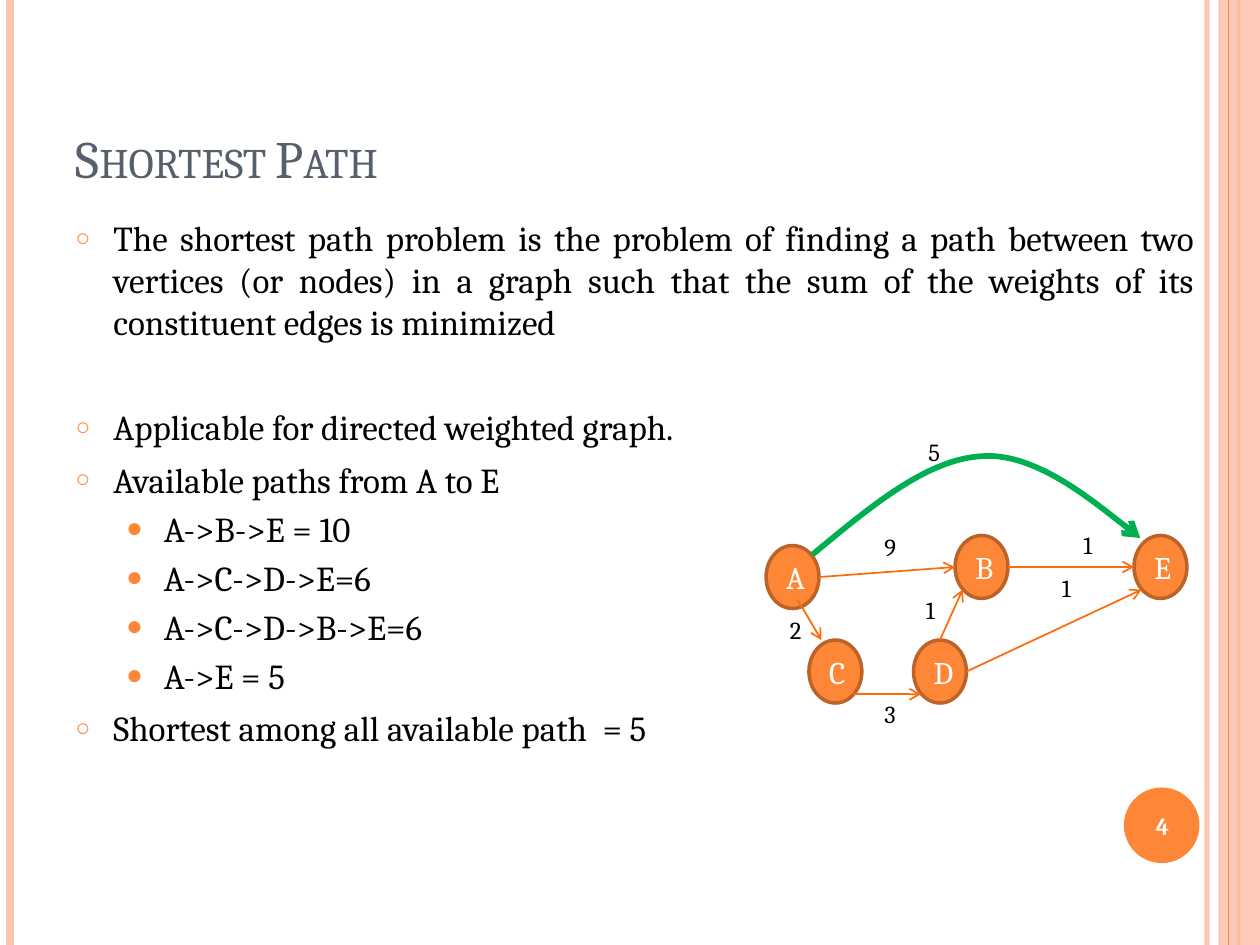
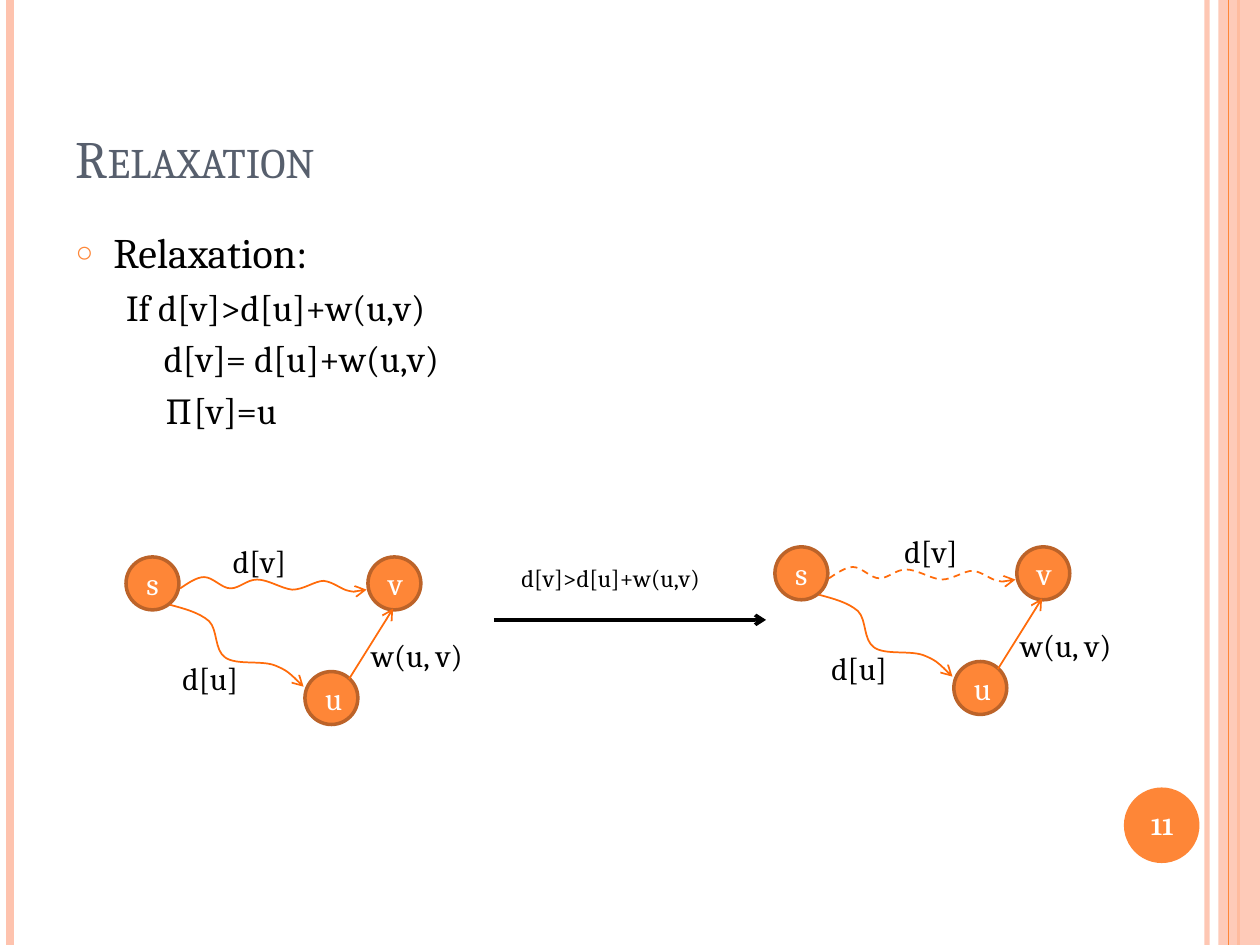
from dataclasses import dataclass

from lxml.etree import SubElement
from pptx import Presentation
from pptx.dml.color import RGBColor
from pptx.enum.dml import MSO_LINE
from pptx.enum.shapes import MSO_CONNECTOR, MSO_SHAPE
from pptx.enum.text import MSO_ANCHOR, MSO_AUTO_SIZE, PP_ALIGN
from pptx.oxml.ns import qn
from pptx.util import Inches, Pt


@dataclass(frozen=True)
class Theme:
    font: str = "Cambria"
    title: str = "575F6D"
    text: str = "000000"
    light: str = "FFFFFF"
    accent: str = "FE8637"
    pale: str = "FEC3AE"
    outline: str = "BC6329"
    edge: str = "FF6B0A"
    best: str = "00B050"
    title_size: int = 30
    heading_size: int = 24
    formula_size: int = 21
    body_size: int = 20
    node_size: int = 18
    small_size: int = 14


THEME = Theme()

RULES = [
    (9.58, THEME.pale, 3, 93),
    (0.08, THEME.pale, 4.5, 100),
    (9.83, THEME.accent, 1.5, 100),
    (9.75, THEME.accent, 0.75, 100),
]
BAND = (9.67, 0, 0.33, 7.5)
BADGE = (8.92, 6.25, 0.6, 0.6)

STYLES = {
    "point": dict(level=0, left=0.3, hang=0.3, before=6, bullet="○", scale=70),
    "path": dict(level=1, left=0.7, hang=0.3, before=4, bullet="●", scale=80),
    "formula": dict(level=1, left=0.4, hang=0, before=4.2, bullet=None),
    "step": dict(level=1, left=0.7, hang=0, before=4.2, bullet=None),
}

SHORTEST_PATH = {
    "title": "Shortest Path",
    "number": "4",
    "body": (0.5, 1.67, 9.08, 5.33),
    "lines": [
        ("The shortest path problem is the problem of finding a path between two "
         "vertices (or nodes) in a graph such that the sum of the weights of its "
         "constituent edges is minimized",
         "point", THEME.body_size, {"align": PP_ALIGN.JUSTIFY}),
        ("Applicable for directed weighted graph.", "point", THEME.body_size, {"before": 36}),
        ("Available paths from A to E", "point", THEME.body_size, {}),
        ("A->B->E = 10", "path", THEME.body_size, {}),
        ("A->C->D->E=6", "path", THEME.body_size, {}),
        ("A->C->D->B->E=6", "path", THEME.body_size, {}),
        ("A->E = 5", "path", THEME.body_size, {}),
        ("Shortest among all available path  = 5", "point", THEME.body_size, {}),
    ],
}
GRAPH_NODES = {"A": (6.08, 4.33), "B": (7.58, 4.25), "C": (6.42, 5.08),
               "D": (7.25, 5.08), "E": (9, 4.25)}
GRAPH_NODE_SIZE = (0.42, 0.5)
GRAPH_EDGES = [
    ((8, 4.5), (9, 4.5)),
    ((6.5, 4.58), (7.58, 4.5)),
    ((6.33, 4.76), (6.52, 5.08)),
    ((6.77, 5.51), (7.31, 5.51)),
    ((7.67, 5.33), (9.06, 4.68)),
    ((7.46, 5.08), (7.64, 4.68)),
]
BEST_EDGE = [(6.45, 4.4), (6.91, 4.02), (7.36, 3.64), (7.8, 3.62),
             (8.23, 3.59), (9.05, 4.27), (9.05, 4.27)]
WEIGHTS = [("9", 6.92, 4.17), ("5", 7.27, 3.42), ("2", 6.17, 4.83), ("3", 6.92, 5.5),
           ("1", 8.33, 4.5), ("1", 7.25, 4.67), ("1", 8.5, 4.16)]

RELAXATION = {
    "title": "Relaxation",
    "number": "11",
    "body": (0.5, 1.75, 8.17, 5.33),
    "lines": [
        ("Relaxation:", "point", THEME.heading_size, {}),
        ("If d[v]>d[u]+w(u,v)", "formula", THEME.formula_size, {}),
        ("d[v]= d[u]+w(u,v)", "step", THEME.formula_size, {}),
        ("∏[v]=u", "step", THEME.formula_size, {}),
    ],
}
TRIANGLE_NODES = {"s": (1, 4.42), "u": (2.42, 5.33), "v": (2.92, 4.42)}
TRIANGLE_NODE_SIZE = (0.42, 0.42)
WAVE_TO_V = [
    (1.43, 4.67), (1.49, 4.63), (1.56, 4.58), (1.62, 4.58), (1.69, 4.58), (1.76, 4.67),
    (1.83, 4.67), (1.9, 4.67), (1.96, 4.6), (2.04, 4.6), (2.13, 4.6), (2.23, 4.67),
    (2.32, 4.68), (2.41, 4.68), (2.5, 4.61), (2.57, 4.61), (2.65, 4.62), (2.71, 4.68),
    (2.77, 4.69), (2.82, 4.7), (2.87, 4.69), (2.91, 4.68),
]
WAVE_TO_U = [
    (1.35, 4.8), (1.46, 4.83), (1.58, 4.86), (1.66, 4.93), (1.73, 5), (1.7, 5.16),
    (1.79, 5.22), (1.88, 5.28), (2.07, 5.24), (2.18, 5.28), (2.28, 5.32), (2.34, 5.38),
    (2.41, 5.45),
]
EDGE_U_V = ((2.77, 5.39), (3.12, 4.83))
DISTANCES = [("d[u]", 1.35, 5.18, 0.67), ("w(u, v)", 2.85, 5, 1)]
TRIANGLES = [
    {"shift": (0, 0), "label_x": 1.75, "dash": False},
    {"shift": (5.15, -0.08), "label_x": 7.08, "dash": True},
]


def color(value):
    return RGBColor.from_string(value)


def inches(values):
    return [Inches(value) for value in values]


def moved(point, shift):
    return point[0] + shift[0], point[1] + shift[1]


def set_alpha(shape, percent):
    tone = next(shape.element.spPr.iter(qn("a:srgbClr")))
    SubElement(tone, qn("a:alpha"), val=str(percent * 1000))


def style_text(para, size, tone=THEME.text, bold=False):
    for span in para.runs:
        span.font.name = THEME.font
        span.font.size = Pt(size)
        span.font.color.rgb = color(tone)
        span.font.bold = bold


def style_line(shape, tone, width, arrow=False, dash=False):
    shape.line.color.rgb = color(tone)
    shape.line.width = Pt(width)
    if dash:
        shape.line.dash_style = MSO_LINE.DASH
    if arrow:
        outline = shape.element.spPr.find(qn("a:ln"))
        SubElement(outline, qn("a:tailEnd"), type="arrow")


def add_line(canvas, start, end, tone=THEME.edge, width=1, arrow=True):
    line = canvas.add_connector(MSO_CONNECTOR.STRAIGHT, *inches(start + end))
    style_line(line, tone, width, arrow)
    SubElement(line.element.spPr, qn("a:effectLst"))
    return line


def add_curve(canvas, points, tone=THEME.edge, width=1, dash=False):
    corners = [inches(point) for point in points]
    builder = canvas.build_freeform(*corners[0])
    builder.add_line_segments(corners[1:], close=False)
    curve = builder.convert_to_shape()
    curve.shadow.inherit = False
    curve.fill.background()
    style_line(curve, tone, width, True, dash)
    segments = list(curve.element.iter(qn("a:lnTo")))
    route = segments[0].getparent()
    for first in range(0, len(segments), 3):
        bend = SubElement(route, qn("a:cubicBezTo"))
        for segment in segments[first:first + 3]:
            bend.append(segment[0])
            route.remove(segment)


def add_solid(canvas, kind, frame, tone):
    shape = canvas.add_shape(kind, *inches(frame))
    shape.shadow.inherit = False
    shape.fill.solid()
    shape.fill.fore_color.rgb = color(tone)
    shape.line.fill.background()
    return shape


def add_nodes(canvas, nodes, size, shift=(0, 0)):
    for name, corner in nodes.items():
        node = add_solid(canvas, MSO_SHAPE.OVAL, moved(corner, shift) + size, THEME.accent)
        style_line(node, THEME.outline, 2)
        node.text_frame.text = name
        para = node.text_frame.paragraphs[0]
        para.alignment = PP_ALIGN.CENTER
        style_text(para, THEME.node_size, THEME.light)


def add_label(canvas, text, x, y, width, size):
    height = 0.4 if size == THEME.node_size else 0.34
    box = canvas.add_textbox(*inches((x, y, width, height)))
    box.text_frame.text = text
    box.text_frame.word_wrap = False
    box.text_frame.auto_size = MSO_AUTO_SIZE.SHAPE_TO_FIT_TEXT
    style_text(box.text_frame.paragraphs[0], size)


def place(shape, frame):
    shape.left, shape.top, shape.width, shape.height = inches(frame)


def add_bullet(props, mark, scale):
    tone = SubElement(props, qn("a:buClr"))
    SubElement(tone, qn("a:srgbClr"), val=THEME.accent)
    SubElement(props, qn("a:buSzPct"), val=str(scale * 1000))
    SubElement(props, qn("a:buChar"), char=mark)


def fill_body(body, lines):
    frame = body.text_frame
    frame.auto_size = MSO_AUTO_SIZE.NONE
    frame.text = "\n".join(line[0] for line in lines)
    for para, (_, name, size, changes) in zip(frame.paragraphs, lines):
        style = {**STYLES[name], **changes}
        para.level = style["level"]
        para.space_before = Pt(style["before"])
        para.alignment = style.get("align", PP_ALIGN.LEFT)
        style_text(para, size)
        props = para._p.get_or_add_pPr()
        props.set("marL", str(Inches(style["left"])))
        props.set("indent", str(-Inches(style["hang"])))
        if style["bullet"]:
            add_bullet(props, style["bullet"], style["scale"])
        else:
            SubElement(props, qn("a:buNone"))


def decorate_layout(layout, page):
    parts = []
    for x, tone, width, alpha in RULES:
        rule = add_line(page.shapes, (x, 0), (x, 7.5), tone, width, False)
        set_alpha(rule, alpha)
        parts.append(rule)
    band = add_solid(page.shapes, MSO_SHAPE.RECTANGLE, BAND, THEME.pale)
    set_alpha(band, 87)
    badge = add_solid(page.shapes, MSO_SHAPE.OVAL, BADGE, THEME.accent)
    for number, part in enumerate(parts[:3] + [band] + parts[3:] + [badge], 20):
        next(part.element.iter(qn("p:cNvPr"))).set("id", str(number))
        layout.shapes.element.append(part.element)


def add_page(deck, layout, content):
    page = deck.slides.add_slide(layout)
    title = page.shapes.title
    place(title, (0.5, 0.3, 8.17, 1.25))
    title.text_frame.text = content["title"]
    title.text_frame.vertical_anchor = MSO_ANCHOR.BOTTOM
    title.text_frame.auto_size = MSO_AUTO_SIZE.NONE
    para = title.text_frame.paragraphs[0]
    para.alignment = PP_ALIGN.LEFT
    style_text(para, THEME.title_size, THEME.title)
    para.runs[0].font._element.set("cap", "small")

    body = page.placeholders[1]
    place(body, content["body"])
    fill_body(body, content["lines"])

    box = page.shapes.add_textbox(*inches((8.89, 6.27, 0.67, 0.57)))
    box.text_frame.text = content["number"]
    box.text_frame.word_wrap = True
    box.text_frame.vertical_anchor = MSO_ANCHOR.MIDDLE
    box.text_frame.paragraphs[0].alignment = PP_ALIGN.CENTER
    style_text(box.text_frame.paragraphs[0], THEME.small_size, THEME.light, True)
    return page


def draw_graph(page):
    canvas = page.shapes.add_group_shape().shapes
    add_nodes(canvas, GRAPH_NODES, GRAPH_NODE_SIZE)
    for start, end in GRAPH_EDGES:
        add_line(canvas, start, end)
    add_curve(canvas, BEST_EDGE, THEME.best, 3.25)
    for text, x, y in WEIGHTS:
        add_label(canvas, text, x, y, 0.31, THEME.small_size)


def draw_triangle(page, shift, label_x, dash):
    canvas = page.shapes.add_group_shape().shapes
    add_nodes(canvas, TRIANGLE_NODES, TRIANGLE_NODE_SIZE, shift)
    add_curve(canvas, [moved(point, shift) for point in WAVE_TO_V], dash=dash)
    add_curve(canvas, [moved(point, shift) for point in WAVE_TO_U])
    add_line(canvas, *[moved(point, shift) for point in EDGE_U_V])
    add_label(canvas, "d[v]", label_x, 4.25 + shift[1], 0.65, THEME.node_size)
    for text, x, y, width in DISTANCES:
        add_label(canvas, text, *moved((x, y), shift), width, THEME.node_size)


def main():
    deck = Presentation()
    deck.slide_width, deck.slide_height = Inches(10), Inches(7.5)
    layout = deck.slide_layouts[1]

    page = add_page(deck, layout, SHORTEST_PATH)
    decorate_layout(layout, page)
    draw_graph(page)

    page = add_page(deck, layout, RELAXATION)
    for triangle in TRIANGLES:
        draw_triangle(page, **triangle)
    add_line(page.shapes, (3.92, 4.92), (6.08, 4.92), THEME.text, 2)
    add_label(page.shapes, "d[v]>d[u]+w(u,v)", 4.04, 4.42, 1.71, THEME.small_size)

    deck.save("out.pptx")


if __name__ == "__main__":
    main()
